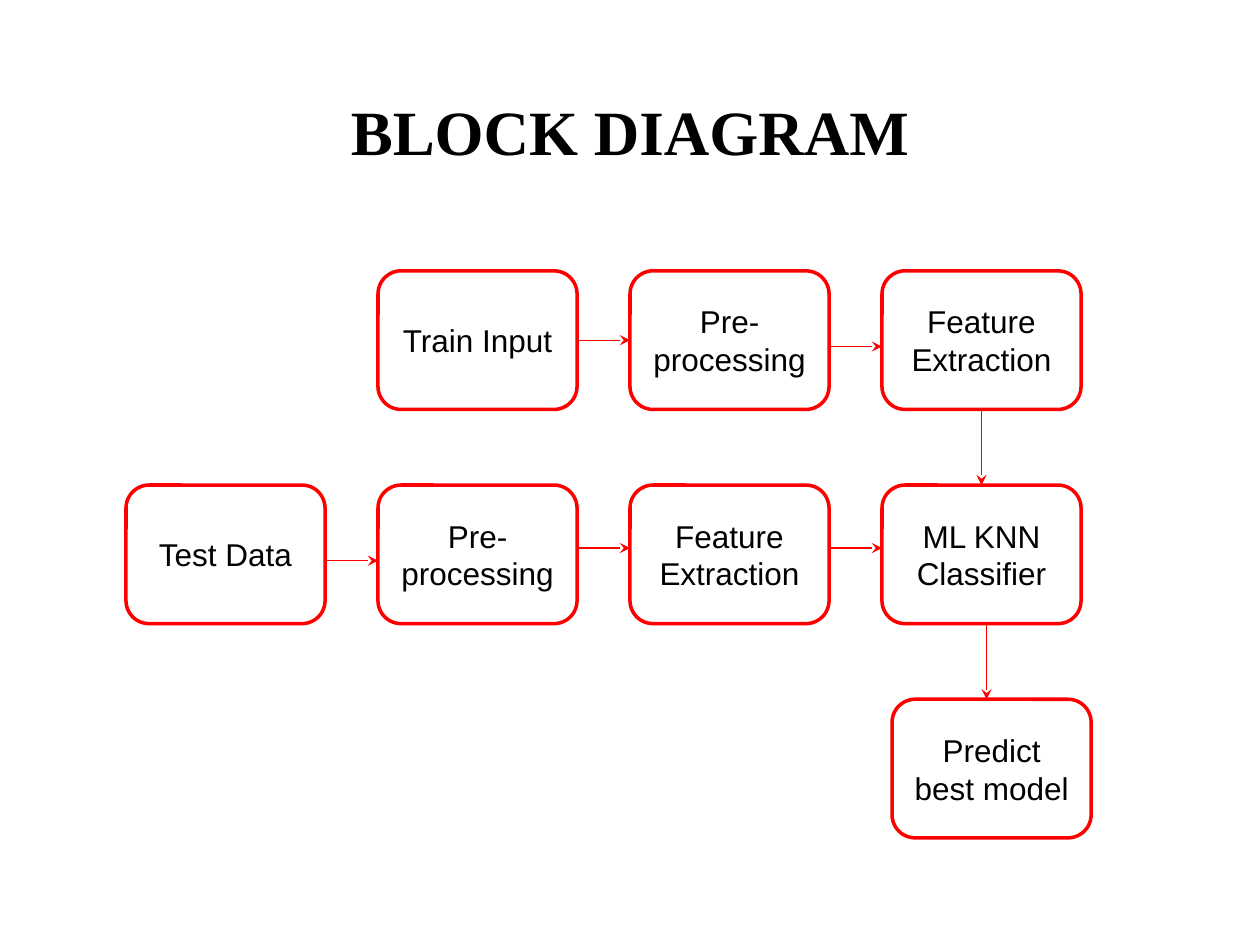
from dataclasses import dataclass
from typing import Optional

from lxml.etree import SubElement
from pptx import Presentation
from pptx.dml.color import RGBColor
from pptx.enum.shapes import MSO_CONNECTOR, MSO_SHAPE
from pptx.enum.text import MSO_ANCHOR, PP_ALIGN
from pptx.oxml.ns import qn
from pptx.util import Inches, Pt


@dataclass(frozen=True)
class Theme:
    ink: RGBColor = RGBColor(0, 0, 0)
    paper: RGBColor = RGBColor(255, 255, 255)
    red: RGBColor = RGBColor(255, 0, 0)
    serif: str = "Times New Roman"
    sans: str = "Arial"
    title: float = 36
    body: float = 18
    border: float = 2
    arrow: float = 0.75


@dataclass(frozen=True)
class Block:
    key: str
    text: str
    left: float
    row: int


@dataclass(frozen=True)
class Arrow:
    start: str
    end: str
    down: bool = False
    at: Optional[float] = None


THEME = Theme()
WIDTH, HEIGHT = 1.58, 1.1
TOP, PITCH = 2.15, 1.7

BLOCKS = [
    Block("train", "Train Input", 3, 0),
    Block("train prep", "Pre-processing", 5, 0),
    Block("train feature", "Feature Extraction", 7, 0),
    Block("test", "Test Data", 1, 1),
    Block("test prep", "Pre-processing", 3, 1),
    Block("test feature", "Feature Extraction", 5, 1),
    Block("model", "ML KNN Classifier", 7, 1),
    Block("predict", "Predict best model", 7.08, 2),
]

ARROWS = [
    Arrow("train", "train prep"),
    Arrow("train prep", "train feature", at=2.75),
    Arrow("train feature", "model", down=True),
    Arrow("test", "test prep", at=4.45),
    Arrow("test prep", "test feature", at=4.35),
    Arrow("test feature", "model", at=4.35),
    Arrow("model", "predict", down=True, at=7.83),
]


def write(shape, text: str, *, font: str, size: float, bold: bool = False,
          inset: tuple[float, float] = (0.1, 0.05)) -> None:
    frame = shape.text_frame
    frame.word_wrap = True
    frame.vertical_anchor = MSO_ANCHOR.MIDDLE
    frame.margin_left = frame.margin_right = Inches(inset[0])
    frame.margin_top = frame.margin_bottom = Inches(inset[1])
    para = frame.paragraphs[0]
    para.alignment = PP_ALIGN.CENTER
    run = para.add_run()
    run.text = text
    run.font.name = font
    run.font.size = Pt(size)
    run.font.bold = bold
    run.font.color.rgb = THEME.ink


def draw_block(slide, block: Block):
    shape = slide.shapes.add_shape(
        MSO_SHAPE.ROUNDED_RECTANGLE, Inches(block.left),
        Inches(TOP + block.row * PITCH), Inches(WIDTH), Inches(HEIGHT))
    shape.shadow.inherit = False
    shape.fill.solid()
    shape.fill.fore_color.rgb = THEME.paper
    shape.line.color.rgb = THEME.red
    shape.line.width = Pt(THEME.border)
    write(shape, block.text, font=THEME.sans, size=THEME.body)
    return shape


def draw_arrow(slide, arrow: Arrow, shapes: dict) -> None:
    start, end = shapes[arrow.start], shapes[arrow.end]
    at = Inches(arrow.at or 0)
    if arrow.down:
        ends = at, start.top + start.height, at, end.top
    else:
        ends = start.left + start.width, at, end.left, at
    line = slide.shapes.add_connector(MSO_CONNECTOR.STRAIGHT, *ends)
    if arrow.at is None:
        line.begin_connect(start, 2 if arrow.down else 3)
        line.end_connect(end, 0 if arrow.down else 1)
    line.line.color.rgb = THEME.red
    line.line.width = Pt(THEME.arrow)
    props = line._element.spPr
    SubElement(props.find(qn("a:ln")), qn("a:tailEnd"), type="stealth")
    SubElement(props, qn("a:effectLst"))


def main() -> None:
    deck = Presentation()
    deck.slide_width, deck.slide_height = Inches(10), Inches(7.5)
    slide = deck.slides.add_slide(deck.slide_layouts[6])
    title = slide.shapes.add_textbox(
        Inches(0.5), Inches(0.45), Inches(9), Inches(1.17))
    write(title, "BLOCK DIAGRAM", font=THEME.serif, size=THEME.title,
          bold=True, inset=(0, 0))
    shapes = {block.key: draw_block(slide, block) for block in BLOCKS}
    for arrow in ARROWS:
        draw_arrow(slide, arrow, shapes)
    deck.save("out.pptx")


if __name__ == "__main__":
    main()
